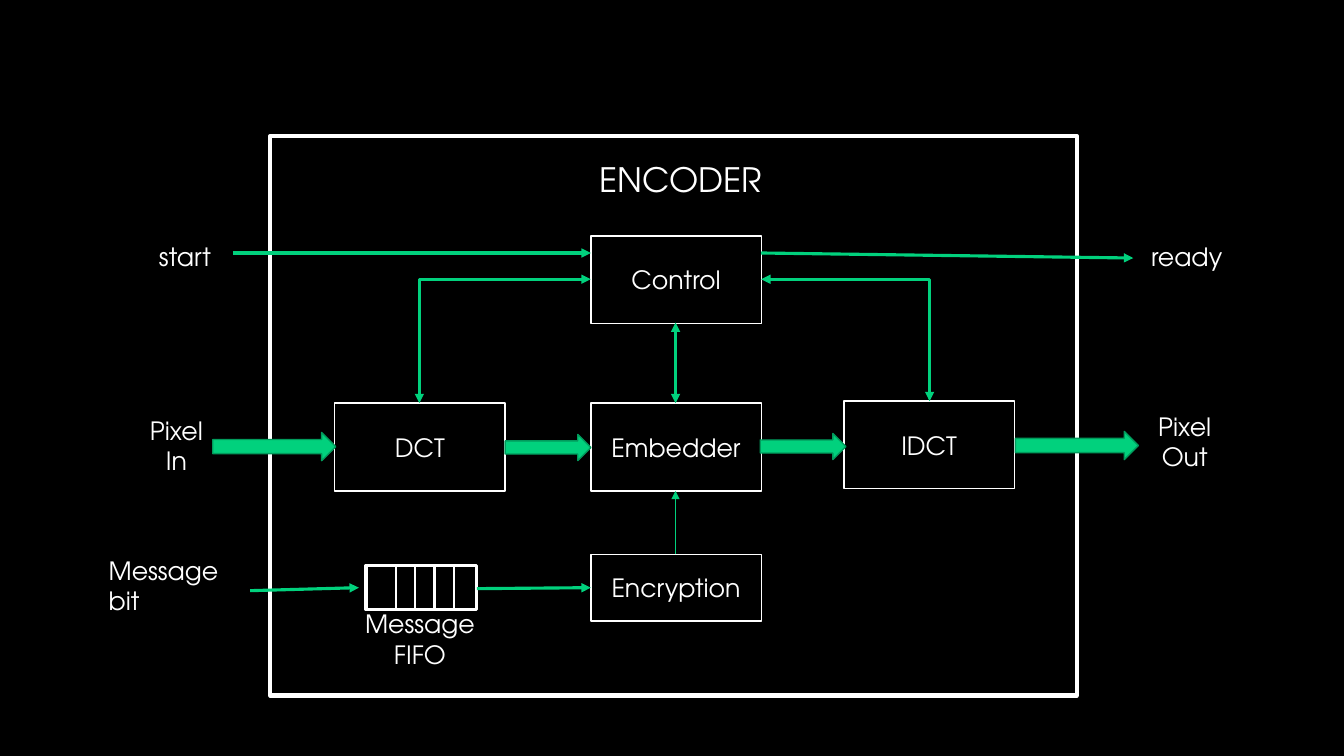
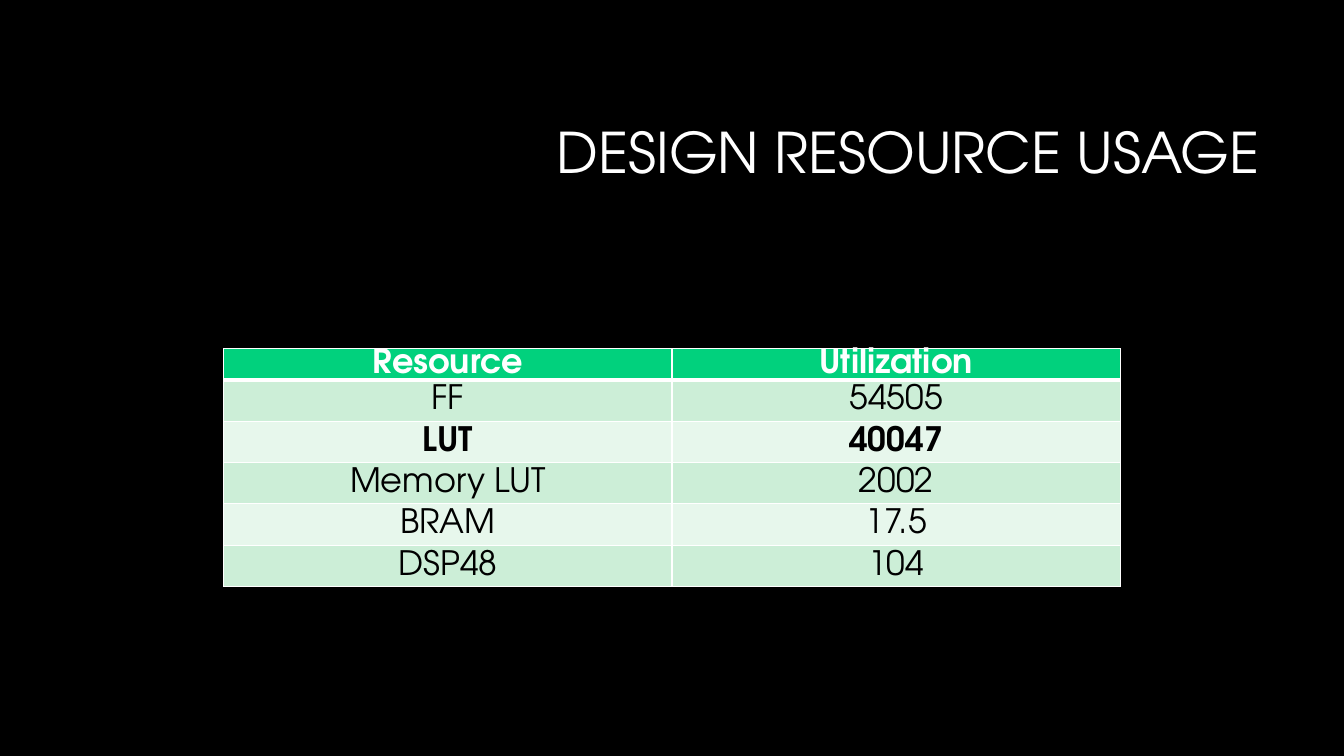
from pptx import Presentation
from pptx.dml.color import RGBColor
from pptx.enum.shapes import MSO_CONNECTOR, MSO_SHAPE
from pptx.enum.text import MSO_ANCHOR, PP_ALIGN
from pptx.oxml.ns import qn
from pptx.util import Pt
from lxml import etree

PX = 9144
FONT = "TeX Gyre Adventor"
COLORS = {
    "bg": "000000", "white": "FFFFFF", "black": "000000",
    "green": "01D17D", "edge": "019B5C",
    "band": "CCEED7", "pale": "E7F7EC",
}
RECT, ARROW = MSO_SHAPE.RECTANGLE, MSO_SHAPE.RIGHT_ARROW
STRAIGHT, ELBOW = MSO_CONNECTOR.STRAIGHT, MSO_CONNECTOR.ELBOW
LEFT, CENTER, RIGHT = PP_ALIGN.LEFT, PP_ALIGN.CENTER, PP_ALIGN.RIGHT
MIDDLE = MSO_ANCHOR.MIDDLE


def rgb(name):
    """Return the named colour."""
    return RGBColor.from_string(COLORS[name])


def emu(*lengths):
    """Turn px lengths into EMU."""
    return [v * PX for v in lengths]


def write(tf, text, size=18, color="white", align=CENTER, bold=False):
    """Write one styled paragraph into a text frame."""
    p = tf.paragraphs[0]
    p.text = text
    p.alignment = align
    p.font.name, p.font.size, p.font.bold = FONT, Pt(size), bold
    p.font.color.rgb = rgb(color)
    return p


def add_label(slide, x, y, w, h, text, size=18, align=CENTER):
    """Add a wrapping text box."""
    tf = slide.shapes.add_textbox(*emu(x, y, w, h)).text_frame
    tf.word_wrap = True
    write(tf, text, size, align=align)


def add_box(slide, x, y, w, h, text="", width=1):
    """Add an outlined box with an optional centred caption."""
    sp = slide.shapes.add_shape(RECT, *emu(x, y, w, h))
    sp.shadow.inherit = False
    sp.fill.background()
    sp.line.color.rgb = rgb("white")
    sp.line.width = Pt(width)
    if text:
        sp.text_frame.vertical_anchor = MIDDLE
        write(sp.text_frame, text)


def add_block_arrow(slide, x, y, w, h):
    """Add a filled arrow for the pixel stream."""
    sp = slide.shapes.add_shape(ARROW, *emu(x, y, w, h))
    sp.shadow.inherit = False
    sp.fill.solid()
    sp.fill.fore_color.rgb = rgb("green")
    sp.line.color.rgb = rgb("edge")
    sp.line.width = Pt(1)


def add_line(slide, x1, y1, x2, y2, width=2.25, color="green", ends=("tailEnd",), kind=STRAIGHT):
    """Add a connector with arrowheads at the given ends."""
    c = slide.shapes.add_connector(kind, *emu(x1, y1, x2, y2))
    c.line.color.rgb = rgb(color)
    c.line.width = Pt(width)
    sp_pr = c.element.spPr
    if kind == ELBOW:
        sp_pr.find(qn("a:prstGeom")).set("prst", "bentConnector2")
    for end in ends:
        etree.SubElement(sp_pr.find(qn("a:ln")), qn(f"a:{end}")).set("type", "triangle")
    etree.SubElement(sp_pr, qn("a:effectLst"))


def add_fifo(slide, x, y, w, h):
    """Add the message queue with its cell dividers and label."""
    add_box(slide, x, y, w, h, width=2.25)
    for i in range(4):
        cx = x + 30 + 19 * i
        add_line(slide, cx, y + 1, cx, y + h - 1, 1.5, "white", ends=())
    add_label(slide, x - 23, y + 38, 153, 80, "Message FIFO")


def add_encoder(slide, x, y):
    """Draw the encoder diagram from its top left corner."""
    add_box(slide, x + 170, y, 800, 555, width=3)
    add_label(slide, x + 456, y + 18, 242, 44, "ENCODER", 24)
    for bx, by, h, text in (
        (234, 265, 87, "DCT"),
        (488, 265, 87, "Embedder"),
        (739, 263, 87, "IDCT"),
        (488, 99, 87, "Control"),
        (488, 415, 66, "Encryption"),
    ):
        add_box(slide, x + bx, y + by, 169, h, text)
    for lx, ly, w, h, text, align in (
        (38, 99, 95, 36, "start", CENTER),
        (1026, 99, 106, 46, "ready", CENTER),
        (35, 272, 84, 36, "Pixel In", CENTER),
        (1023, 268, 108, 36, "Pixel Out", CENTER),
        (0, 411, 150, 80, "Message bit", LEFT),
    ):
        add_label(slide, x + lx, y + ly, w, h, text, align=align)
    add_fifo(slide, x + 265, y + 426, 110, 44)
    for x1, y1, x2, y2, width in (
        (133, 116, 488, 116, 2.25),
        (657, 116, 1026, 121, 2.25),
        (150, 451, 258, 448, 2.25),
        (375, 449, 488, 448, 2.25),
        (572, 415, 572, 352, 0.75),
    ):
        add_line(slide, x + x1, y + y1, x + x2, y + y2, width)
    for x1, y1, x2, y2, kind in (
        (488, 142, 318, 265, ELBOW),
        (657, 142, 824, 263, ELBOW),
        (572, 185, 572, 265, STRAIGHT),
    ):
        add_line(slide, x + x1, y + y1, x + x2, y + y2, ends=("headEnd", "tailEnd"), kind=kind)
    for ax, ay, w, h in (
        (113, 294, 122, 28),
        (403, 296, 85, 26),
        (656, 295, 85, 26),
        (909, 293, 122, 28),
    ):
        add_block_arrow(slide, x + ax, y + ay, w, h)


def add_title(slide, x, y, w, h, text):
    """Place and style the title placeholder."""
    sp = slide.shapes.title
    sp.left, sp.top, sp.width, sp.height = emu(x, y, w, h)
    sp.text_frame.vertical_anchor = MIDDLE
    write(sp.text_frame, text, 40, align=RIGHT).line_spacing = 0.9


def style_cell(cell, text, row, bold):
    """Fill, border and caption one table cell."""
    cell.vertical_anchor = MIDDLE
    cell.margin_left = cell.margin_right = cell.margin_top = cell.margin_bottom = 0
    tc_pr = cell._tc.get_or_add_tcPr()
    for side in "LRTB":
        heavy = (row, side) in ((0, "B"), (1, "T"))
        ln = etree.SubElement(tc_pr, qn(f"a:ln{side}"), w=str(Pt(3 if heavy else 1)))
        fill = etree.SubElement(ln, qn("a:solidFill"))
        etree.SubElement(fill, qn("a:srgbClr"), val=COLORS["white"])
    cell.fill.solid()
    cell.fill.fore_color.rgb = rgb("green" if row == 0 else "band" if row % 2 else "pale")
    write(cell.text_frame, text, 24, "black" if row else "white", bold=bold)


def add_usage_table(slide, x, y, w, h):
    """Add the resource table, with the LUT row in bold."""
    rows = (
        ("Resource", "Utilization"),
        ("FF", "54505"),
        ("LUT", "40047"),
        ("Memory LUT", "2002"),
        ("BRAM", "17.5"),
        ("DSP48", "104"),
    )
    frame = slide.shapes.add_table(len(rows), 2, *emu(x, y, w, h))
    table = frame.table
    table.first_row = table.horz_banding = False
    for i, texts in enumerate(rows):
        table.rows[i].height = 41 * PX if i else 0
        for j, text in enumerate(texts):
            style_cell(table.cell(i, j), text, i, bold=i in (0, 2))
    frame.height = h * PX


def main():
    """Build the two slides and save them."""
    prs = Presentation()
    prs.slide_width, prs.slide_height = emu(1333, 750)
    fill = prs.slide_master.background.fill
    fill.solid()
    fill.fore_color.rgb = rgb("bg")
    title_only, blank = prs.slide_layouts[5], prs.slide_layouts[6]

    add_encoder(prs.slides.add_slide(blank), 98, 135)

    slide = prs.slides.add_slide(title_only)
    add_title(slide, 317, 84, 942, 141, "DESIGN RESOURCE USAGE")
    add_usage_table(slide, 222, 346, 889, 243)
    prs.save("out.pptx")


if __name__ == "__main__":
    main()
